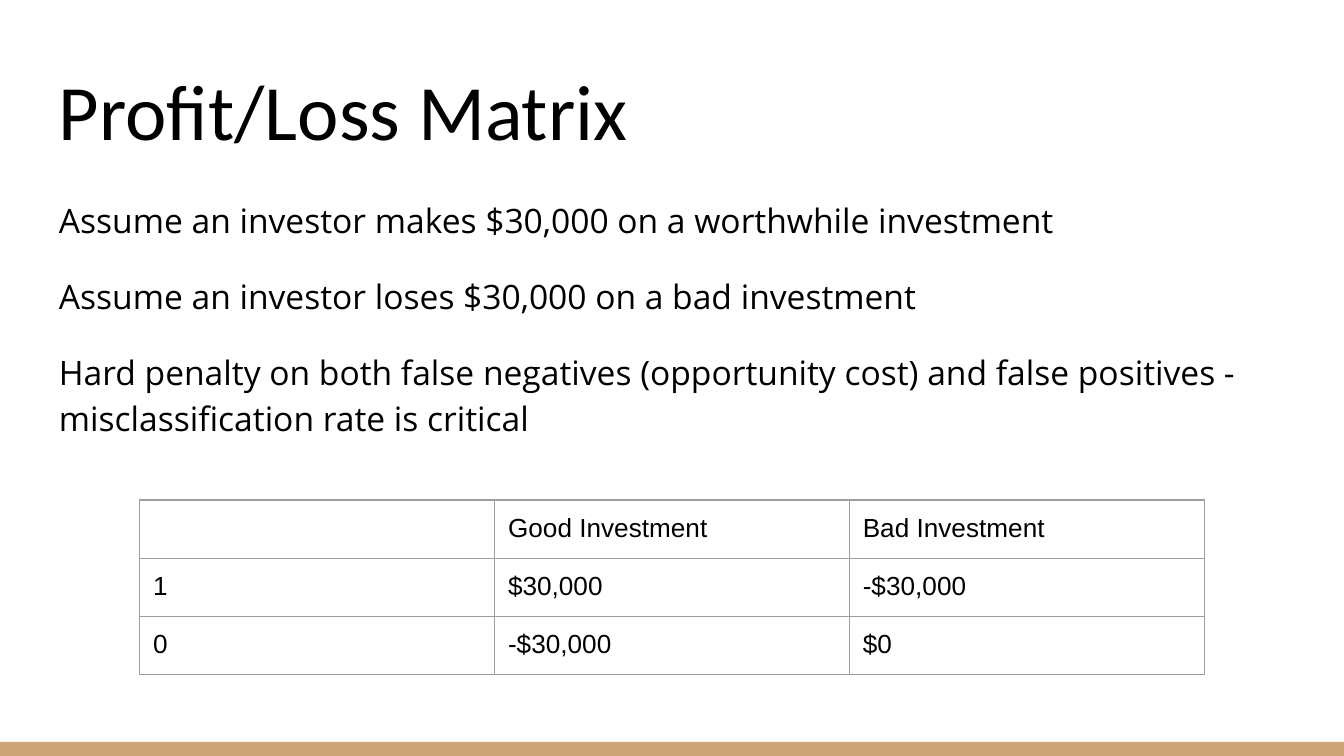
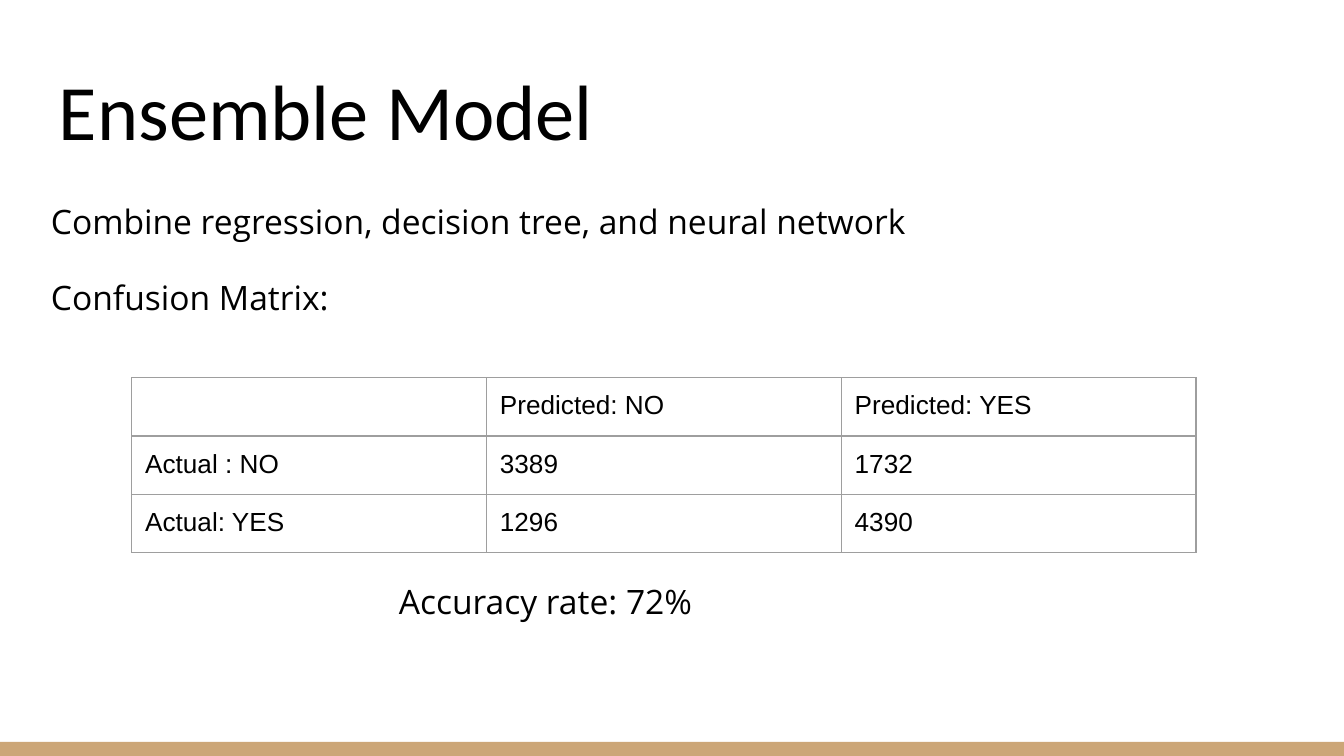
"""Build two slides on investment outcomes and the ensemble model."""
from dataclasses import dataclass

from lxml.etree import SubElement
from pptx import Presentation
from pptx.dml.color import RGBColor as Color
from pptx.enum.shapes import MSO_SHAPE as Shape
from pptx.enum.text import MSO_ANCHOR as Anchor
from pptx.oxml.ns import qn
from pptx.util import Inches, Pt


@dataclass(frozen=True)
class Theme:
    ink: str = "000000"
    paper: str = "FFFFFF"
    band: str = "CCA677"
    border: str = "9E9E9E"
    title_font: str = "Calibri"
    body_font: str = "Open Sans"
    table_font: str = "Arial"
    title_size: int = 42
    body_size: int = 18
    table_size: int = 14
    border_width: float = 0.75
    line_spacing: float = 1.15
    paragraph_gap: int = 16
    inset: float = 0.1


THEME = Theme()
PAGE_WIDTH, PAGE_HEIGHT = 10, 5.625
TEXT_WIDTH, BODY_HEIGHT = 9.32, 3.67
COLUMN_WIDTH, ROW_HEIGHT = 2.64, 0.42


def style_font(font, name, size):
    """Apply a face, a size and the ink colour."""
    font.name = name
    font.size = Pt(size)
    font.color.rgb = Color.from_string(THEME.ink)


def add_text_box(page, left, top, width, height, anchor=Anchor.TOP):
    """Add a wrapping text box and return its text frame."""
    box = page.shapes.add_textbox(*map(Inches, (left, top, width, height)))
    frame = box.text_frame
    frame.word_wrap = True
    frame.vertical_anchor = anchor
    frame.margin_left = frame.margin_right = Inches(THEME.inset)
    frame.margin_top = frame.margin_bottom = Inches(THEME.inset)
    return frame


def add_page(deck, title):
    """Add a page with its background, bottom band and title."""
    page = deck.slides.add_slide(deck.slide_layouts[6])
    page.background.fill.solid()
    page.background.fill.fore_color.rgb = Color.from_string(THEME.paper)
    band = page.shapes.add_shape(
        Shape.RECTANGLE, 0, Inches(5.52), Inches(PAGE_WIDTH), Inches(0.11))
    band.shadow.inherit = False
    band.fill.solid()
    band.fill.fore_color.rgb = Color.from_string(THEME.band)
    band.line.fill.background()
    para = add_text_box(page, 0.34, 0.35, TEXT_WIDTH, 0.91, Anchor.BOTTOM).paragraphs[0]
    para.text = title
    style_font(para.font, THEME.title_font, THEME.title_size)
    return page


def add_body(page, left, top, lines, width=TEXT_WIDTH, height=BODY_HEIGHT):
    """Add body paragraphs with even gaps between them."""
    frame = add_text_box(page, left, top, width, height)
    for index, line in enumerate(lines):
        para = frame.paragraphs[0] if index == 0 else frame.add_paragraph()
        para.text = line
        para.line_spacing = THEME.line_spacing
        para.space_before = Pt(THEME.paragraph_gap if index else 0)
        style_font(para.font, THEME.body_font, THEME.body_size)


def add_borders(cell):
    """Draw a thin line on all four sides of a cell."""
    properties = cell._tc.get_or_add_tcPr()
    for side in ("lnL", "lnR", "lnT", "lnB"):
        line = SubElement(properties, qn(f"a:{side}"), w=str(Pt(THEME.border_width)))
        fill = SubElement(line, qn("a:solidFill"))
        SubElement(fill, qn("a:srgbClr"), val=THEME.border)


def fill_cell(cell, text):
    """Set the text, margins, borders and fill of a cell."""
    add_borders(cell)
    cell.fill.background()
    cell.margin_left = cell.margin_right = Inches(THEME.inset)
    cell.margin_top = cell.margin_bottom = Inches(THEME.inset if text else 0)
    para = cell.text_frame.paragraphs[0]
    para.text = text
    style_font(para.font, THEME.table_font, THEME.table_size)


def add_matrix(page, left, top, rows):
    """Add a plain bordered table with equal columns and rows."""
    row_count, column_count = len(rows), len(rows[0])
    table = page.shapes.add_table(
        row_count, column_count, Inches(left), Inches(top),
        Inches(COLUMN_WIDTH * column_count), Inches(ROW_HEIGHT * row_count)).table
    table.first_row = table.horz_banding = False
    for row_index, row in enumerate(rows):
        for column_index, text in enumerate(row):
            fill_cell(table.cell(row_index, column_index), text)


def add_profit_page(deck):
    """Add the profit and loss page."""
    page = add_page(deck, "Profit/Loss Matrix")
    add_body(page, 0.34, 1.34, [
        "Assume an investor makes $30,000 on a worthwhile investment",
        "Assume an investor loses $30,000 on a bad investment",
        "Hard penalty on both false negatives (opportunity cost) and "
        "false positives - misclassification rate is critical",
    ])
    add_matrix(page, 1.04, 3.72, [
        ["", "Good Investment", "Bad Investment"],
        ["1", "$30,000", "-$30,000"],
        ["0", "-$30,000", "$0"],
    ])


def add_ensemble_page(deck):
    """Add the ensemble model page."""
    page = add_page(deck, "Ensemble Model")
    add_body(page, 0.28, 1.35, [
        "Combine regression, decision tree, and neural network",
        "Confusion Matrix:",
    ])
    add_matrix(page, 0.98, 2.81, [
        ["", "Predicted: NO", "Predicted: YES"],
        ["Actual : NO", "3389", "1732"],
        ["Actual: YES", "1296", "4390"],
    ])
    add_body(page, 2.87, 4.18, ["Accuracy rate: 72%"], 4, 0.6)


def main():
    """Build and save the deck."""
    deck = Presentation()
    deck.slide_width = Inches(PAGE_WIDTH)
    deck.slide_height = Inches(PAGE_HEIGHT)
    add_profit_page(deck)
    add_ensemble_page(deck)
    deck.save("out.pptx")


if __name__ == "__main__":
    main()
